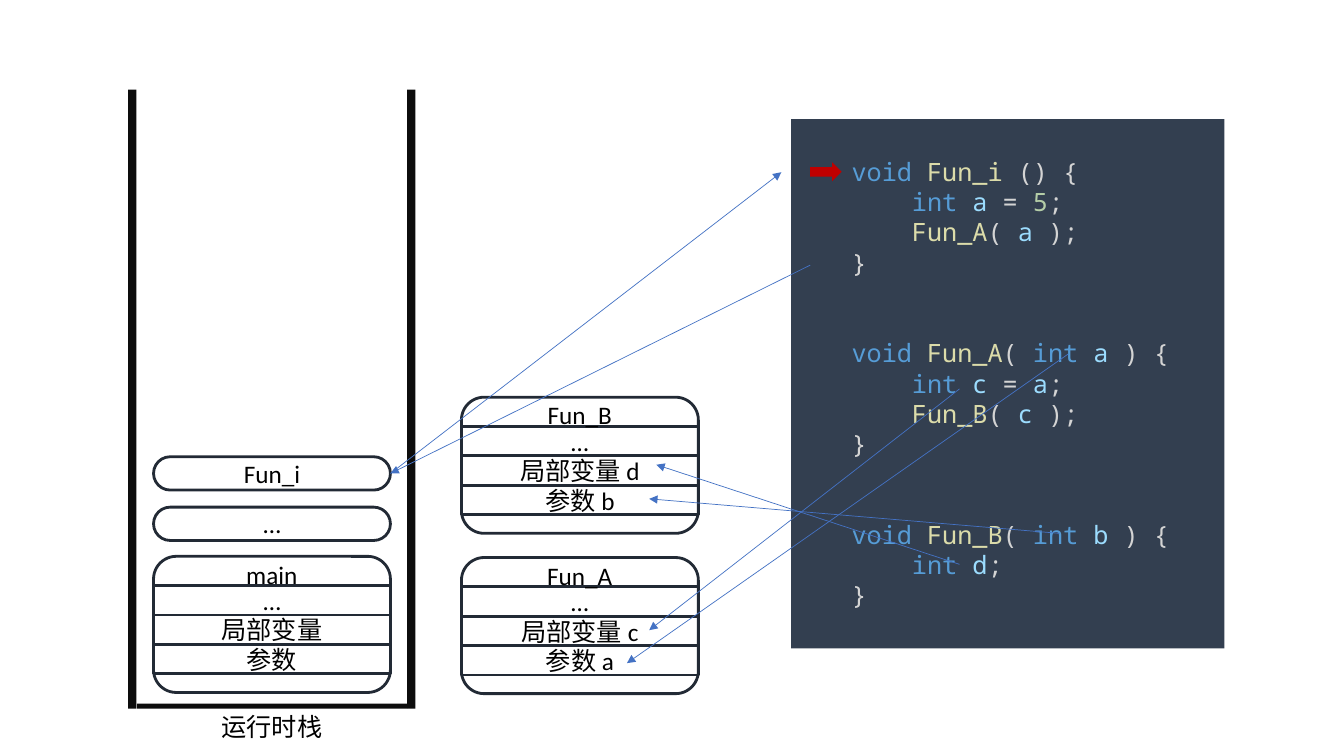
from lxml.etree import SubElement
from pptx import Presentation
from pptx.dml.color import RGBColor
from pptx.enum.shapes import MSO_CONNECTOR, MSO_SHAPE
from pptx.enum.text import MSO_ANCHOR, PP_ALIGN
from pptx.oxml.ns import qn
from pptx.util import Cm, Pt

BLACK = RGBColor(0x00, 0x00, 0x00)
WALL = RGBColor(0x0D, 0x0D, 0x0D)
EDGE = RGBColor(0x22, 0x2A, 0x35)
PANEL = RGBColor(0x33, 0x3F, 0x50)
LINK = RGBColor(0x44, 0x72, 0xC4)
RED = RGBColor(0xC0, 0x00, 0x00)
WORD = RGBColor(0x56, 0x9C, 0xD6)
CALL = RGBColor(0xDC, 0xDC, 0xAA)
PLAIN = RGBColor(0xD4, 0xD4, 0xD4)
NAME = RGBColor(0x9C, 0xDC, 0xFE)
DIGIT = RGBColor(0xB5, 0xCE, 0xA8)

deck = Presentation()
deck.slide_width, deck.slide_height = Cm(33.87), Cm(19.05)
slide = deck.slides.add_slide(deck.slide_layouts[6])


def add_box(shapes, kind, x, y, w, h, fill=None):
    box = shapes.add_shape(kind, Cm(x), Cm(y), Cm(w), Cm(h))
    box.shadow.inherit = False
    if fill is None:
        box.fill.background()
        box.line.color.rgb = EDGE
        box.line.width = Pt(2)
    else:
        box.fill.solid()
        box.fill.fore_color.rgb = fill
        box.line.fill.background()
    return box


def write(box, text):
    box.text_frame.word_wrap = True
    para = box.text_frame.paragraphs[0]
    para.alignment = PP_ALIGN.CENTER
    run = para.add_run()
    run.text = text
    run.font.name = "Calibri"
    run.font.size = Pt(18)
    run.font.color.rgb = BLACK


WIDTH, ROW = 5.97, 0.74
LEFT, RIGHT = 3.87, 11.63

walls = slide.shapes.add_group_shape().shapes
for x, y, w, h in [(3.23, 2.26, 0.21, 15.6), (3.45, 17.73, 6.81, 0.13),
                   (10.26, 2.26, 0.21, 15.6)]:
    add_box(walls, MSO_SHAPE.RECTANGLE, x, y, w, h, WALL)

frames = [
    (LEFT, 14.02, "main", ["…", "局部变量", "参数"]),
    (RIGHT, 14.05, "Fun_A", ["…", "局部变量 c", "参数 a"]),
    (RIGHT, 10.01, "Fun_B", ["…", "局部变量 d", "参数 b"]),
]
for x, y, title, rows in frames:
    group = slide.shapes.add_group_shape().shapes
    add_box(group, MSO_SHAPE.ROUNDED_RECTANGLE, x, y, WIDTH, 3.43)
    for i, text in enumerate(rows, 1):
        cell = add_box(group, MSO_SHAPE.RECTANGLE, x, y + i * ROW, WIDTH, ROW)
        cell.text_frame.vertical_anchor = MSO_ANCHOR.MIDDLE
        write(cell, text)
    write(group.add_textbox(Cm(x + 1.8), Cm(y - 0.06), Cm(2.36), Cm(1.02)), title)

pills = []
for y, text in [(11.51, "Fun_i"), (12.78, "…")]:
    pill = add_box(slide.shapes, MSO_SHAPE.ROUNDED_RECTANGLE, LEFT, y, WIDTH, 0.84)
    pill.adjustments[0] = 0.5
    pill.text_frame.vertical_anchor = MSO_ANCHOR.MIDDLE
    write(pill, text)
    pills.append(pill)

TAB = ("    ", PLAIN)
END = [("}", PLAIN)]
blocks = [
    [
        [("void ", WORD), ("Fun_i", CALL), (" () {", PLAIN)],
        [TAB, ("int ", WORD), ("a", NAME), (" = ", PLAIN), ("5", DIGIT), (";", PLAIN)],
        [TAB, ("Fun_A", CALL), ("( ", PLAIN), ("a", NAME), (" );", PLAIN)],
        END,
    ],
    [
        [("void ", WORD), ("Fun_A", CALL), ("( ", PLAIN), ("int ", WORD),
         ("a", NAME), (" ) {", PLAIN)],
        [TAB, ("int ", WORD), ("c", NAME), (" = ", PLAIN), ("a", NAME), (";", PLAIN)],
        [TAB, ("Fun_B", CALL), ("( ", PLAIN), ("c", NAME), (" );", PLAIN)],
        END,
    ],
    [
        [("void ", WORD), ("Fun_B", CALL), ("( ", PLAIN), ("int ", WORD),
         ("b", NAME), (" ) {", PLAIN)],
        [TAB, ("int ", WORD), ("d", NAME), (";", PLAIN)],
        END,
    ],
]
panel = add_box(slide.shapes, MSO_SHAPE.RECTANGLE, 19.94, 3, 10.92, 13.34, PANEL)
code = panel.text_frame
code.word_wrap = True
code.vertical_anchor = MSO_ANCHOR.TOP
code.margin_left, code.margin_top = Cm(1.52), Cm(0.94)
para = code.paragraphs[0]
for b, block in enumerate(blocks):
    for n, line in enumerate(block):
        if b or n:
            para = code.add_paragraph()
        if b and n == 0:
            para.space_before = Pt(43.2)
        para.alignment = PP_ALIGN.LEFT
        para.line_spacing = Pt(21.6)
        for text, color in line:
            run = para.add_run()
            run.text = text
            run.font.name = "Noto Sans Mono"
            run.font.size = Pt(18)
            run.font.color.rgb = color

add_box(slide.shapes, MSO_SHAPE.RIGHT_ARROW, 20.42, 4.09, 0.79, 0.48, RED)

links = []
for x1, y1, x2, y2 in [
    (9.84, 11.93, 19.69, 4.34),
    (26.92, 8.92, 15.8, 16.71),
    (24.18, 9.8, 16.36, 15.88),
    (26.7, 13.44, 16.36, 12.57),
    (24.18, 14.22, 16.54, 11.71),
    (20.42, 6.68, 9.84, 11.93),
]:
    link = slide.shapes.add_connector(
        MSO_CONNECTOR.STRAIGHT, Cm(x1), Cm(y1), Cm(x2), Cm(y2))
    link.line.color.rgb = LINK
    link.line.width = Pt(0.5)
    SubElement(link.line._get_or_add_ln(), qn("a:tailEnd")).set("type", "triangle")
    SubElement(link._element.spPr, qn("a:effectLst"))
    links.append(link)
links[0].begin_connect(pills[0], 3)
links[-1].end_connect(pills[0], 3)

write(slide.shapes.add_textbox(Cm(3.45), Cm(17.81), Cm(6.81), Cm(1.02)), "运行时栈")

deck.save("out.pptx")
